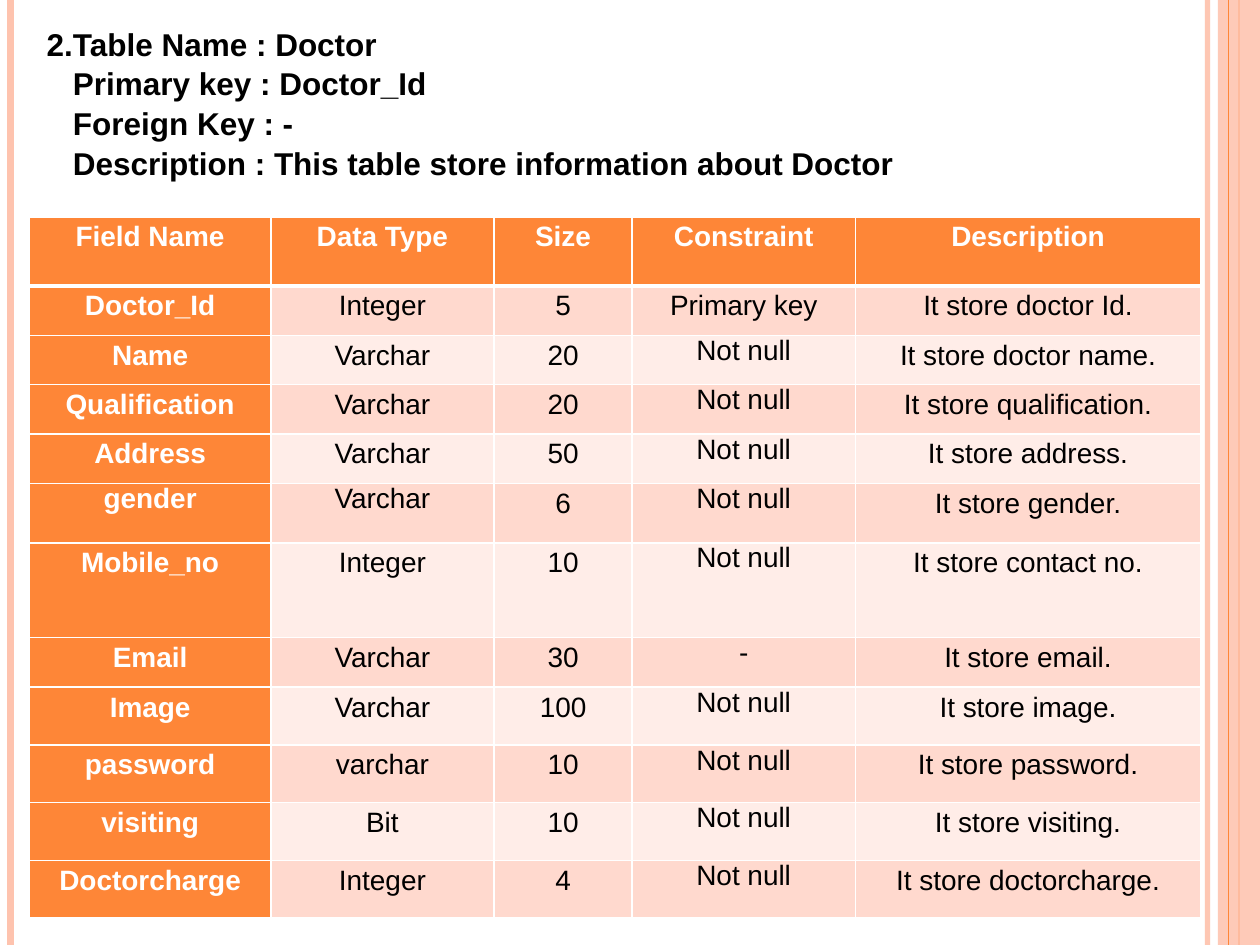
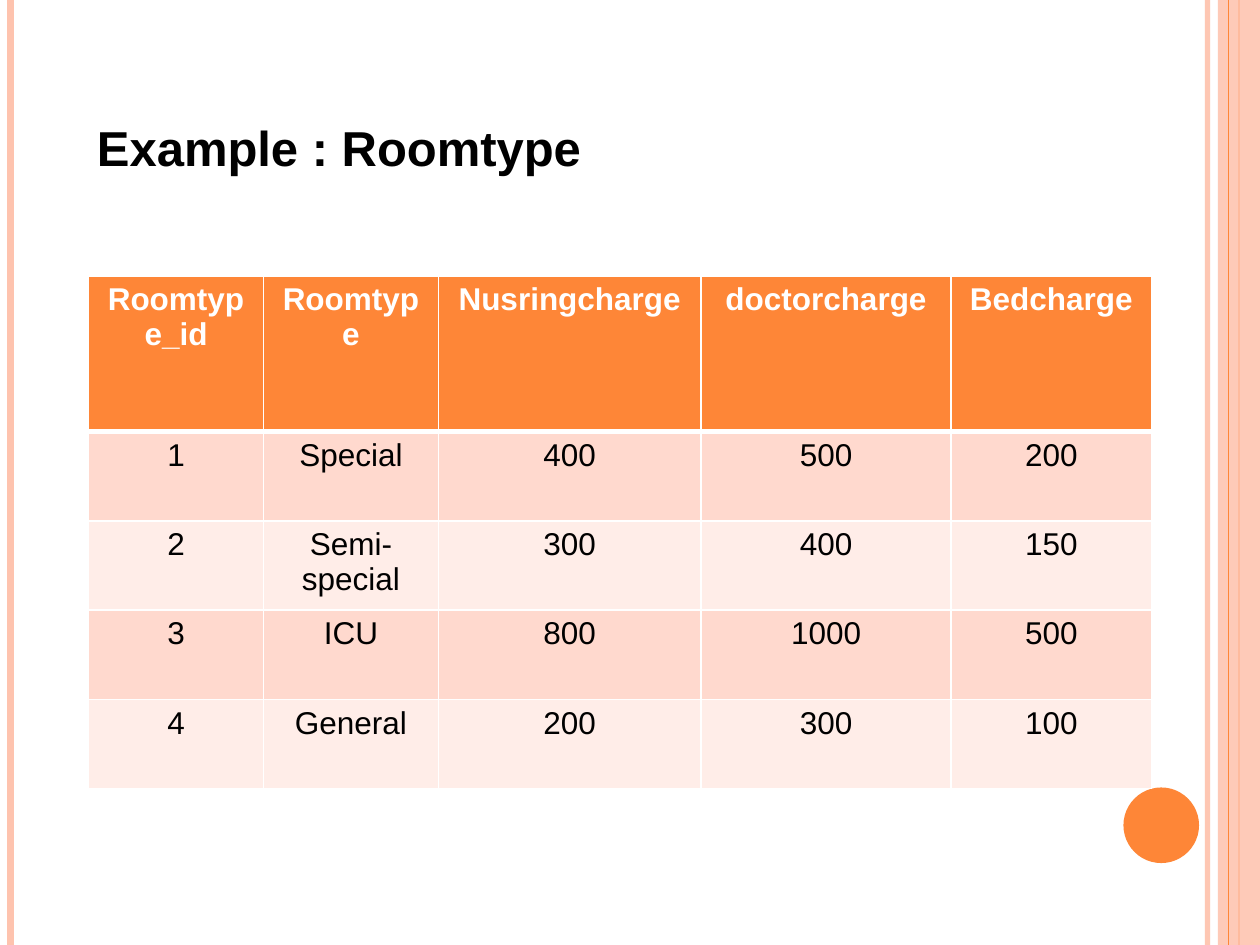
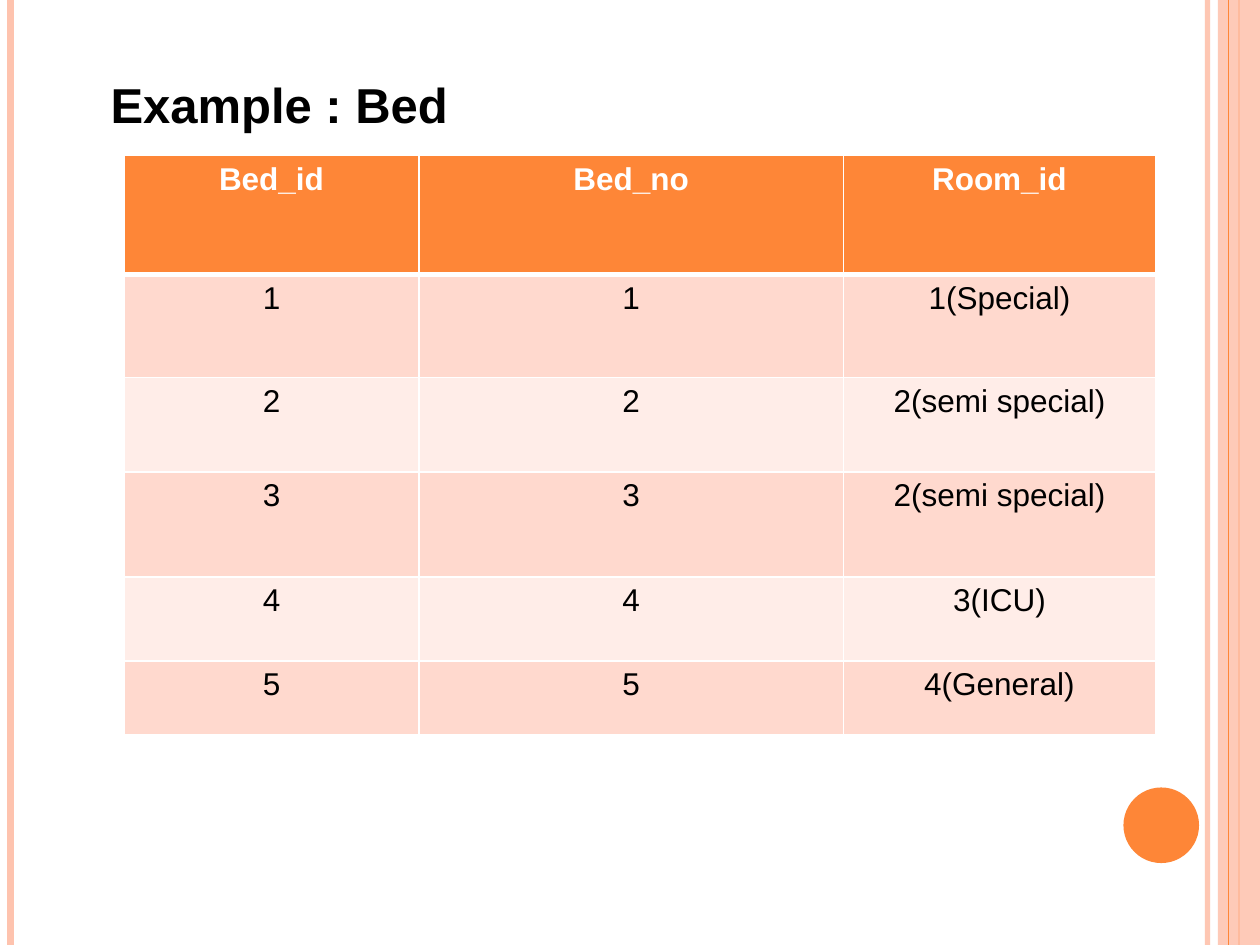
"""Build three slides of hospital database tables in a shared banded style."""
from dataclasses import dataclass

from lxml import etree
from pptx import Presentation
from pptx.dml.color import RGBColor
from pptx.enum.shapes import MSO_CONNECTOR, MSO_SHAPE
from pptx.enum.text import MSO_ANCHOR, MSO_AUTO_SIZE, PP_ALIGN
from pptx.oxml.ns import qn
from pptx.util import Pt

STRAIGHT = MSO_CONNECTOR.STRAIGHT
RECTANGLE, OVAL = MSO_SHAPE.RECTANGLE, MSO_SHAPE.OVAL
TOP = MSO_ANCHOR.TOP
NO_AUTOFIT = MSO_AUTO_SIZE.NONE
LEFT, CENTER = PP_ALIGN.LEFT, PP_ALIGN.CENTER
TITLE_ONLY = 5
WIDTH, HEIGHT = 720, 540


@dataclass(frozen=True)
class Theme:
    font: str = "Arial"
    accent: str = "FE8637"
    pale: str = "FEC3AE"
    bands: tuple = ("FFD9CE", "FFEDE8")
    text: str = "000000"
    light: str = "FFFFFF"
    title_size: int = 28
    heading_size: int = 18
    cell_size: int = 18
    dense_size: int = 16
    title_spacing: float = 1.05
    dense_spacing: float = 1.15


def apply(target, formats):
    for name, value in formats.items():
        setattr(target, name, value)


def set_alpha(element, percent):
    color = element.find(".//" + qn("a:srgbClr"))
    etree.SubElement(color, qn("a:alpha"), val=str(percent * 1000))


class Deck:
    def __init__(self, theme):
        self.theme = theme
        self.presentation = Presentation()
        apply(self.presentation, {"slide_width": Pt(WIDTH), "slide_height": Pt(HEIGHT)})
        self.slide = None

    def add_slide(self, with_circle=True):
        theme = self.theme
        layout = self.presentation.slide_layouts[TITLE_ONLY]
        self.slide = self.presentation.slides.add_slide(layout)
        self.vertical_line(690, theme.pale, 3, 93)
        self.vertical_line(6, theme.pale, 4.5)
        self.vertical_line(708, theme.accent, 1.5)
        self.shape(RECTANGLE, (696, 0, 24, HEIGHT), theme.pale, 87)
        self.vertical_line(702, theme.accent, 0.75)
        if with_circle:
            self.shape(OVAL, (642, 450, 43.2, 43.2), theme.accent)

    def vertical_line(self, x, color, width, alpha=100):
        connector = self.slide.shapes.add_connector(STRAIGHT, Pt(x), 0, Pt(x), Pt(HEIGHT))
        connector.line.color.rgb = RGBColor.from_string(color)
        connector.line.width = Pt(width)
        properties = connector._element.spPr
        if alpha < 100:
            set_alpha(properties, alpha)
        etree.SubElement(properties, qn("a:effectLst"))

    def shape(self, kind, box, color, alpha=100):
        shape = self.slide.shapes.add_shape(kind, *map(Pt, box))
        shape.shadow.inherit = False
        shape.fill.solid()
        shape.fill.fore_color.rgb = RGBColor.from_string(color)
        shape.line.fill.background()
        if alpha < 100:
            set_alpha(shape._element.spPr, alpha)

    def add_text(self, paragraph, text, size, color, bold, alignment, spacing):
        apply(paragraph, {"alignment": alignment, "line_spacing": spacing})
        run = paragraph.add_run()
        run.text = text
        apply(run.font, {"name": self.theme.font, "size": Pt(size), "bold": bold})
        run.font.color.rgb = RGBColor.from_string(color)

    def title(self, lines, box, size, indent=0):
        theme = self.theme
        title = self.slide.shapes.title
        apply(title, dict(zip(("left", "top", "width", "height"), map(Pt, box))))
        frame = title.text_frame
        apply(frame, {"word_wrap": True, "vertical_anchor": TOP, "auto_size": NO_AUTOFIT})
        for index, line in enumerate(lines):
            paragraph = frame.add_paragraph() if index else frame.paragraphs[0]
            if index:
                paragraph._p.get_or_add_pPr().set("marL", str(Pt(indent)))
            self.add_text(paragraph, line, size, theme.text, True, LEFT, theme.title_spacing)

    def table(self, origin, widths, heights, rows, size, margins,
              accent_column=False, spacing=1.0, single_spaced=()):
        theme = self.theme
        frame = self.slide.shapes.add_table(
            len(rows), len(widths), *map(Pt, (*origin, sum(widths), sum(heights))))
        table = frame.table
        table.horz_banding = False
        for column, width in zip(table.columns, widths):
            column.width = Pt(width)
        for row, height in zip(table.rows, heights):
            row.height = Pt(height)
        for row_index, values in enumerate(rows):
            for column_index, value in enumerate(values):
                cell = table.cell(row_index, column_index)
                strong = row_index == 0 or (accent_column and column_index == 0)
                fill = theme.accent if strong else theme.bands[(row_index - 1) % 2]
                self.style_cell(cell, row_index, fill, margins)
                single = (row_index, column_index) in single_spaced
                self.add_text(cell.text_frame.paragraphs[0], value, size,
                              theme.light if strong else theme.text, strong, CENTER,
                              1.0 if single else spacing)

    def style_cell(self, cell, row_index, fill, margins):
        horizontal, vertical = map(Pt, margins)
        apply(cell, {"margin_left": horizontal, "margin_right": horizontal,
                     "margin_top": vertical, "margin_bottom": vertical,
                     "vertical_anchor": TOP})
        borders = {"L": 1, "R": 1, "T": 3 if row_index == 1 else 1,
                   "B": 3 if row_index == 0 else 1}
        properties = cell._tc.get_or_add_tcPr()
        for side, width in borders.items():
            line = etree.SubElement(properties, qn("a:ln" + side), w=str(Pt(width)))
            solid = etree.SubElement(line, qn("a:solidFill"))
            etree.SubElement(solid, qn("a:srgbClr"), val=self.theme.light)
        cell.fill.solid()
        cell.fill.fore_color.rgb = RGBColor.from_string(fill)


DOCTOR_HEADING = [
    "2.Table Name : Doctor",
    "Primary key : Doctor_Id",
    "Foreign Key : -",
    "Description : This table store information about Doctor",
]
DOCTOR_FIELDS = [
    ("Field Name", "Data Type", "Size", "Constraint", "Description"),
    ("Doctor_Id", "Integer", "5", "Primary key", "It store doctor Id."),
    ("Name", "Varchar", "20", "Not null", "It store doctor name."),
    ("Qualification", "Varchar", "20", "Not null", "It store qualification."),
    ("Address", "Varchar", "50", "Not null", "It store address."),
    ("gender", "Varchar", "6", "Not null", "It store gender."),
    ("Mobile_no", "Integer", "10", "Not null", "It store contact no."),
    ("Email", "Varchar", "30", "-", "It store email."),
    ("Image", "Varchar", "100", "Not null", "It store image."),
    ("password", "varchar", "10", "Not null", "It store password."),
    ("visiting", "Bit", "10", "Not null", "It store visiting."),
    ("Doctorcharge", "Integer", "4", "Not null", "It store doctorcharge."),
]
ROOM_TYPES = [
    ("Roomtype_id", "Roomtype", "Nusringcharge", "doctorcharge", "Bedcharge"),
    ("1", "Special", "400", "500", "200"),
    ("2", "Semi-special", "300", "400", "150"),
    ("3", "ICU", "800", "1000", "500"),
    ("4", "General", "200", "300", "100"),
]
BEDS = [
    ("Bed_id", "Bed_no", "Room_id"),
    ("1", "1", "1(Special)"),
    ("2", "2", "2(semi special)"),
    ("3", "3", "2(semi special)"),
    ("4", "4", "3(ICU)"),
    ("5", "5", "4(General)"),
]


def main():
    theme = Theme()
    deck = Deck(theme)
    roomy, tight = (7.2, 3.6), (5, 0)

    deck.add_slide(with_circle=False)
    deck.title(DOCTOR_HEADING, (19.5, 9.4, 618.5, 111.6), theme.heading_size, indent=15)
    constraint_cells = {(row, 3) for row in range(2, len(DOCTOR_FIELDS))}
    deck.table((16.8, 124), (138, 127.5, 79, 127.5, 197.5),
               [39.5] + [28.2] * 4 + [34, 54, 28.5] + [33] * 4,
               DOCTOR_FIELDS, theme.dense_size, tight, accent_column=True,
               spacing=theme.dense_spacing,
               single_spaced=constraint_cells | {(5, 0), (5, 1)})

    deck.add_slide()
    deck.title(["Example : Roomtype"], (48.2, 62, 392.4, 41), theme.title_size)
    deck.table((50.6, 157.6), (100, 100, 150, 143, 114.5), [89] + [51] * 4,
               ROOM_TYPES, theme.cell_size, roomy)

    deck.add_slide()
    deck.title(["Example : Bed"], (56, 37.5, 355, 41), theme.title_size)
    deck.table((70.9, 88.8), (168.5, 242.5, 178.5), (68, 59, 54, 60, 48, 42),
               BEDS, theme.cell_size, roomy)

    deck.presentation.save("out.pptx")


if __name__ == "__main__":
    main()
